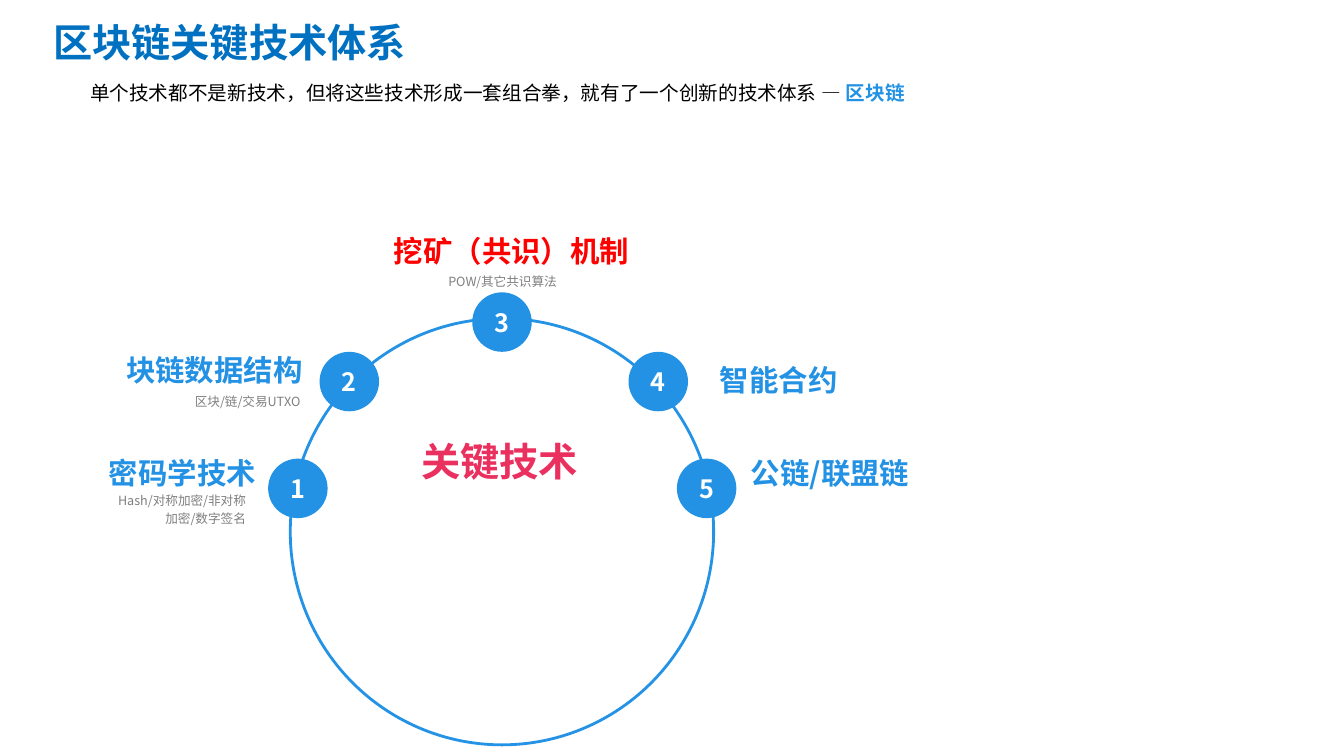
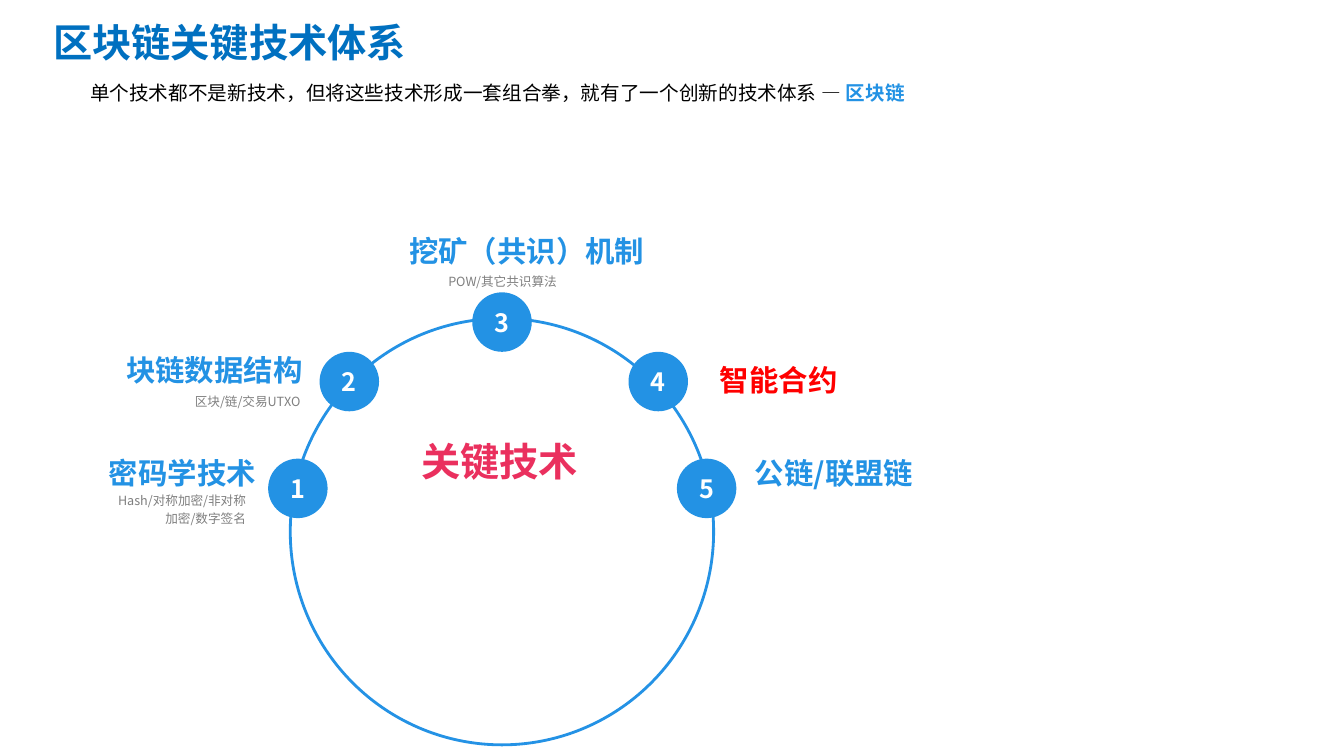
from dataclasses import dataclass
from typing import NamedTuple

from lxml.etree import SubElement
from pptx import Presentation
from pptx.dml.color import RGBColor
from pptx.enum.shapes import MSO_SHAPE
from pptx.enum.text import MSO_ANCHOR, MSO_AUTO_SIZE, PP_ALIGN
from pptx.oxml.ns import qn
from pptx.util import Inches, Pt


@dataclass(frozen=True)
class Theme:
    """Colours, font and type sizes of the deck."""
    font: str = "Noto Sans CJK SC"
    title: str = "0070C0"
    blue: str = "2392E4"
    ring: str = "2492E5"
    hot: str = "FF0000"
    core: str = "EA305E"
    ink: str = "000000"
    grey: str = "7F7F7F"
    white: str = "FFFFFF"
    title_pt: int = 28
    label_pt: int = 21
    number_pt: int = 18
    lead_pt: int = 14
    note_pt: int = 9


class Box(NamedTuple):
    """A rectangle counted in columns and rows of the slide grid."""
    x: float
    y: float
    w: float
    h: float

    def inner(self, x, y, w, h):
        """Return a box placed from this box's corner."""
        return Box(self.x + x, self.y + y, w, h)

    def emu(self):
        """Return left, top, width and height as lengths."""
        return [Inches(v * CELL) for v in self]


T = Theme()
CELL = 0.1
COLS, ROWS = 133.33, 75
HEADER = Box(3.6, 1.3, 91.5, 9.2)
DIAGRAM = Box(8, 22, 84, 52)
L, C, R = PP_ALIGN.LEFT, PP_ALIGN.CENTER, PP_ALIGN.RIGHT

RING = (20.8, 9.6, 42, 42.3)
DOT = 5.9
NODES = [(-20.25, 26.45), (-15.15, 15.85), (0, 9.95), (15.5, 15.85), (20.3, 26.45)]
LABELS = [
    ("密码学技术", (0.3, 22.7, 19.6, 4.8), C),
    ("块链数据结构", (1.5, 12.4, 21.5, 4.7), R),
    ("挖矿（共识）机制", (28.6, 0.6, 28.3, 4.8), C),
    ("智能合约", (60.9, 13.4, 16.7, 4.7), C),
    ("公链/联盟链", (65.1, 22.7, 18.5, 4.7), C),
]
NOTES = [
    ("Hash/对称加密/非对称加密/数字签名", (2.6, 26.2, 14.6, 4.4), R),
    ("区块/链/交易UTXO", (3.1, 16.4, 19.5, 3.1), R),
    ("POW/其它共识算法", (25.5, 4.5, 32.7, 4.5), C),
]


def add_run(p, text, size, color, bold=False):
    """Add one formatted run to a paragraph."""
    r = p.add_run()
    r.text = text
    r.font.size, r.font.bold = Pt(size), bold
    r.font.name = T.font
    r.font.color.rgb = RGBColor.from_string(color)
    SubElement(r.font._element, qn("a:ea"), typeface=T.font)


def write(sp, text, *, size, color, bold=True, align=C, wrap=True, grow=True,
          anchor=MSO_ANCHOR.TOP, spacing=None, inset=(0.1, 0.05)):
    """Put one formatted paragraph into a shape and return it."""
    tf = sp.text_frame
    tf.word_wrap, tf.vertical_anchor = wrap, anchor
    tf.auto_size = MSO_AUTO_SIZE.SHAPE_TO_FIT_TEXT if grow else MSO_AUTO_SIZE.NONE
    tf.margin_left = tf.margin_right = Inches(inset[0])
    tf.margin_top = tf.margin_bottom = Inches(inset[1])
    p = tf.paragraphs[0]
    p.alignment, p.line_spacing = align, spacing
    p.space_before = p.space_after = Pt(0)
    add_run(p, text, size, color, bold)
    return p


def add_text(s, box, text, **fmt):
    """Add a text box and return its paragraph."""
    return write(s.shapes.add_textbox(*box.emu()), text, **fmt)


def add_circle(s, box, fill=None, line=None):
    """Add a flat ellipse with a fill or an outline."""
    sp = s.shapes.add_shape(MSO_SHAPE.OVAL, *box.emu())
    sp.shadow.inherit = False
    if fill:
        sp.fill.solid()
        sp.fill.fore_color.rgb = RGBColor.from_string(fill)
    else:
        sp.fill.background()
    if line:
        sp.line.color.rgb = RGBColor.from_string(line)
        sp.line.width = Pt(2)
    else:
        sp.line.fill.background()
    return sp


def add_header(s, box):
    """Set the title and the lead sentence under it."""
    title = s.shapes.title
    title.left, title.top, title.width, title.height = box.inner(0.7, 0, 37, 6).emu()
    write(title, "区块链关键技术体系", size=T.title_pt, color=T.title, align=L, wrap=False)
    p = add_text(s, box.inner(0, 5, box.w, 4.2),
                 "单个技术都不是新技术，但将这些技术形成一套组合拳，就有了一个创新的技术体系 — ",
                 size=T.lead_pt, color=T.ink, bold=False, spacing=Pt(26))
    add_run(p, "区块链", T.lead_pt, T.blue, True)


def add_diagram(s, box, hot, aligns, widths):
    """Draw the ring with numbered nodes, labels and notes."""
    add_circle(s, box.inner(*RING), line=T.ring)
    for number, (dx, y) in enumerate(NODES, 1):
        dot = box.inner(RING[0] + RING[2] / 2 + dx - DOT / 2, y - DOT / 2, DOT, DOT)
        write(add_circle(s, dot, fill=T.blue), str(number), size=T.number_pt,
              color=T.white, grow=False, anchor=MSO_ANCHOR.MIDDLE)
    for number, (text, (x, y, w, h), align) in enumerate(LABELS, 1):
        add_text(s, box.inner(x, y, widths.get(number, w), h), text, size=T.label_pt,
                 color=T.hot if number == hot else T.blue,
                 align=aligns.get(number, align))
    for text, place, align in NOTES:
        add_text(s, box.inner(*place), text, size=T.note_pt, color=T.grey, bold=False,
                 align=align, grow=False, spacing=1.2, inset=(0.08, 0.04))
    add_text(s, box.inner(32.7, 20.9, 17.7, 5.7), "关键技术", size=T.title_pt,
             color=T.core, wrap=False)


def add_technology_slide(prs, hot, aligns, widths):
    """Add one technology slide with the given label highlighted."""
    s = prs.slides.add_slide(prs.slide_layouts[5])
    add_diagram(s, DIAGRAM, hot, aligns, widths)
    add_header(s, HEADER)


def main():
    """Build and save the deck."""
    prs = Presentation()
    prs.slide_width, prs.slide_height = Inches(COLS * CELL), Inches(ROWS * CELL)
    add_technology_slide(prs, hot=3, aligns={}, widths={})
    add_technology_slide(prs, hot=4, aligns={3: R}, widths={5: 19.3})
    prs.save("out.pptx")


if __name__ == "__main__":
    main()
